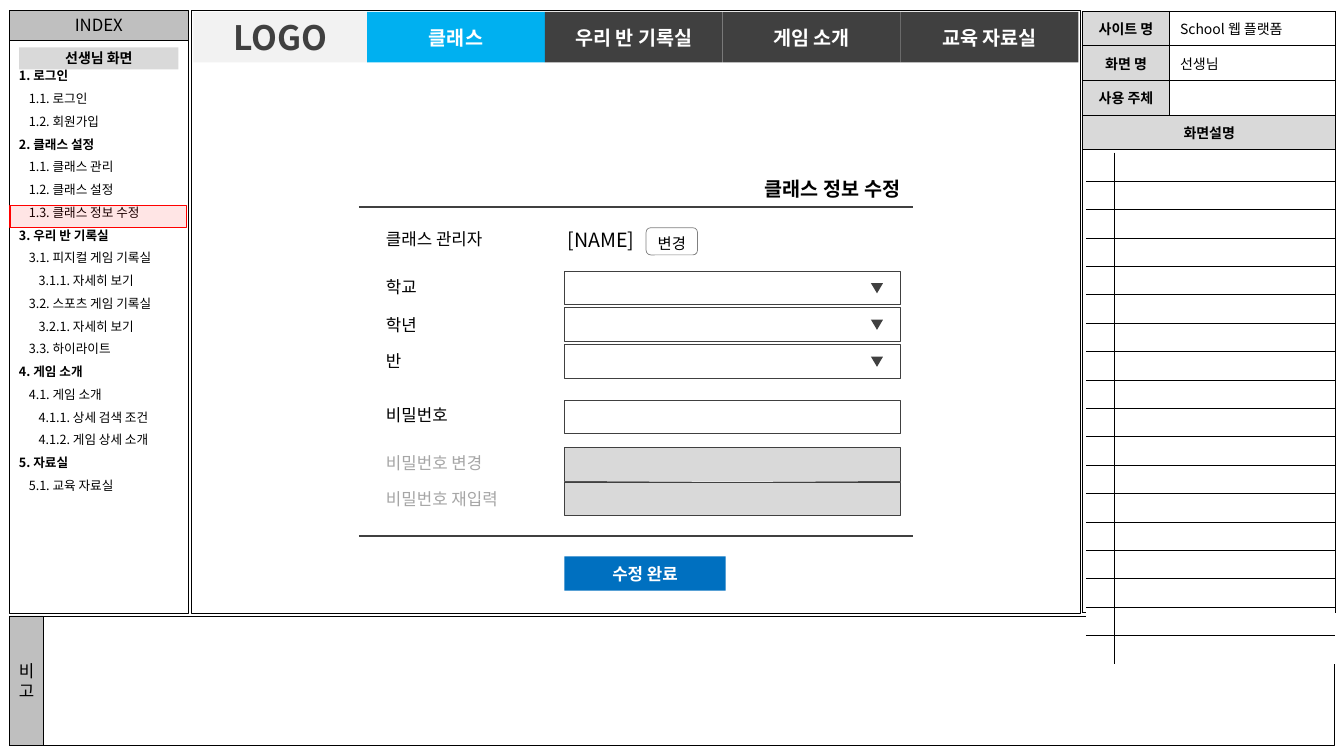
from lxml.etree import SubElement
from pptx import Presentation
from pptx.dml.color import RGBColor
from pptx.enum.shapes import MSO_CONNECTOR, MSO_SHAPE
from pptx.enum.text import MSO_ANCHOR, PP_ALIGN
from pptx.oxml import parse_xml
from pptx.oxml.ns import nsdecls, qn
from pptx.util import Pt

FONT = "Noto Sans CJK KR"
BLACK, DARK, WHITE = "000000", "404040", "FFFFFF"
GREY, LIGHT = "BFBFBF", "D9D9D9"

# Index entries: level, text
INDEX = [
    (0, "1. 로그인"), (1, "1.1. 로그인"), (1, "1.2. 회원가입"),
    (0, "2. 클래스 설정"), (1, "1.1. 클래스 관리"), (1, "1.2. 클래스 설정"),
    (1, "1.3. 클래스 정보 수정"),
    (0, "3. 우리 반 기록실"), (1, "3.1. 피지컬 게임 기록실"), (2, "3.1.1. 자세히 보기"),
    (1, "3.2. 스포츠 게임 기록실"), (2, "3.2.1. 자세히 보기"), (1, "3.3. 하이라이트"),
    (0, "4. 게임 소개"), (1, "4.1. 게임 소개"), (2, "4.1.1. 상세 검색 조건"),
    (2, "4.1.2. 게임 상세 소개"),
    (0, "5. 자료실"), (1, "5.1. 교육 자료실"),
]
TABS = ["클래스", "우리 반 기록실", "게임 소개", "교육 자료실"]

# Form rows: label, label top, field top, enabled, dropdown
FORM_ROWS = [
    ("학교", 194.4, 193.7, True, True),
    ("학년", 220.9, 219.8, True, True),
    ("반", 247.2, 246.2, True, True),
    ("비밀번호", 285.8, 285.8, True, False),
    ("비밀번호 변경", 319.7, 319.7, False, False),
    ("비밀번호 재입력", 345.6, 344.2, False, False),
]


def color(value):
    return RGBColor.from_string(value)


def points(*values):
    return [Pt(value) for value in values]


def set_values(target, values):
    for name, value in values.items():
        setattr(target, name, value)


def style_font(paragraph, size, text_color=BLACK, bold=False):
    set_values(paragraph.font, {"name": FONT, "size": Pt(size), "bold": bold})
    paragraph.font.color.rgb = color(text_color)
    for run in paragraph.runs:
        set_values(run.font, {"name": FONT, "size": Pt(size), "bold": bold})
        run.font.color.rgb = color(text_color)
        SubElement(run.font._element, qn("a:ea"), typeface=FONT)


def write(shape, text, size, text_color=BLACK, bold=False, align=PP_ALIGN.CENTER,
          anchor=MSO_ANCHOR.MIDDLE, wrap=True):
    set_values(shape.text_frame, {"word_wrap": wrap, "vertical_anchor": anchor})
    paragraph = shape.text_frame.paragraphs[0]
    set_values(paragraph, {"text": text, "alignment": align})
    style_font(paragraph, size, text_color, bold)


def add_box(slide, bounds, fill=None, line=None, width=0.5, kind=MSO_SHAPE.RECTANGLE):
    shape = slide.shapes.add_shape(kind, *points(*bounds))
    shape.shadow.inherit = False
    if fill:
        shape.fill.solid()
        shape.fill.fore_color.rgb = color(fill)
    else:
        shape.fill.background()
    if line:
        shape.line.color.rgb = color(line)
        shape.line.width = Pt(width)
    else:
        shape.line.fill.background()
    return shape


def add_label(slide, bounds, text, size, text_color=BLACK, bold=False, align=PP_ALIGN.LEFT):
    write(slide.shapes.add_textbox(*points(*bounds)), text, size, text_color, bold, align)


def add_rule(slide, left, right, top):
    rule = slide.shapes.add_connector(MSO_CONNECTOR.STRAIGHT, *points(left, top, right, top))
    rule.line.color.rgb = color(DARK)
    rule.line.width = Pt(1.5)
    SubElement(rule._element.spPr, qn("a:effectLst"))


def style_cell(cell, fill, sides):
    """Fill a cell and draw black borders on the named sides only."""
    if fill:
        cell.fill.solid()
        cell.fill.fore_color.rgb = color(fill)
    else:
        cell.fill.background()
    properties = cell._tc.get_or_add_tcPr()
    for position, side in enumerate("LRTB"):
        paint = f'<a:solidFill><a:srgbClr val="{BLACK}"/></a:solidFill>' if side in sides else "<a:noFill/>"
        border = f'<a:ln{side} {nsdecls("a")} w="{Pt(0.5)}">{paint}</a:ln{side}>'
        properties.insert(position, parse_xml(border))


def add_grid(slide, left, top, widths, heights):
    bounds = points(left, top, sum(widths), sum(heights))
    table = slide.shapes.add_table(len(heights), len(widths), *bounds).table
    set_values(table, {"first_row": False, "horz_banding": False})
    for column, width in zip(table.columns, widths):
        column.width = Pt(width)
    for row, height in zip(table.rows, heights):
        row.height = Pt(height)
    for cell in table.iter_cells():
        style_font(cell.text_frame.paragraphs[0], 10)
    return table


def add_site_table(slide):
    labels = ["사이트 명", "화면 명", "사용 주체", "화면설명"]
    table = add_grid(slide, 773.3, 7.9, [62, 118.8], [24.8] * 4 + [330.6])
    for cell in table.iter_cells():
        style_cell(cell, None, "LRTB")
    for row in (3, 4):
        table.cell(row, 0).merge(table.cell(row, 1))
    for row, label in enumerate(labels):
        cell = table.cell(row, 0)
        cell.fill.solid()
        cell.fill.fore_color.rgb = color(LIGHT)
        cell.vertical_anchor = MSO_ANCHOR.MIDDLE
        paragraph = cell.text_frame.paragraphs[0]
        set_values(paragraph, {"text": label, "alignment": PP_ALIGN.CENTER})
        style_font(paragraph, 10, bold=True)


def add_description_table(slide):
    rows = 18
    table = add_grid(slide, 775.6, 109, [20.4, 157.6], [20.3] * rows)
    for row in range(rows):
        sides = ("T" if row else "") + ("B" if row < rows - 1 else "")
        for column, inner_side in enumerate("RL"):
            cell = table.cell(row, column)
            style_cell(cell, WHITE, sides + inner_side)
            set_values(cell, {"margin_top": 0, "margin_bottom": 0})


def add_index(slide):
    box = slide.shapes.add_textbox(*points(6.5, 43.4, 139, 309))
    frame = box.text_frame
    set_values(frame, {"word_wrap": True, "margin_top": 0, "margin_bottom": 0})
    for number, (level, text) in enumerate(INDEX):
        paragraph = frame.add_paragraph() if number else frame.paragraphs[0]
        set_values(paragraph, {"text": text, "line_spacing": Pt(16.23)})
        paragraph._p.get_or_add_pPr().set("marL", str(Pt(7 * level)))
        style_font(paragraph, 9, bold=level == 0)


def add_frame(slide):
    add_box(slide, (136.8, 7.2, 635, 430.6), line=BLACK)
    add_site_table(slide)
    add_box(slide, (6.5, 7.2, 128.2, 430.6), line=BLACK)
    add_box(slide, (6.5, 439.9, 946.8, 92.2), line=BLACK)
    write(add_box(slide, (6.5, 7.2, 128.2, 21.6), GREY, BLACK), "INDEX", 12)
    write(add_box(slide, (6.5, 439.9, 24.5, 92.2), GREY, BLACK), "비고", 12)
    add_index(slide)
    write(add_box(slide, (13.7, 33.8, 113.8, 15.8), LIGHT), "선생님 화면", 10, bold=True, wrap=False)
    add_label(slide, (835.9, 10.8, 117, 19.4), "School 웹 플랫폼", 10)
    add_label(slide, (835.9, 34.6, 117, 22.3), "선생님", 10)
    # Current page marker
    marker = add_box(slide, (7.2, 146.9, 126, 15.8), "FF0000", "FF0000", 1)
    fill_color = marker._element.spPr.find(qn("a:solidFill"))[0]
    SubElement(fill_color, qn("a:alpha"), val="10000")
    add_description_table(slide)


def add_form(slide):
    add_label(slide, (500, 122.4, 150.2, 24.5), "클래스 정보 수정", 14, bold=True, align=PP_ALIGN.RIGHT)
    for top in (147.6, 383):
        add_rule(slide, 256.3, 652.3, top)
    # Class manager
    add_label(slide, (268.6, 159.8, 120, 21.6), "클래스 관리자", 12)
    add_label(slide, (398.2, 159.1, 70, 24.5), "[NAME]", 14)
    change = add_box(slide, (461.5, 162.7, 36.7, 19.4), WHITE, "808080", kind=MSO_SHAPE.ROUNDED_RECTANGLE)
    write(change, "변경", 11, anchor=MSO_ANCHOR.TOP, wrap=False)
    # Input rows
    for text, label_top, field_top, enabled, dropdown in FORM_ROWS:
        add_label(slide, (268.6, label_top, 120, 21.6), text, 12, BLACK if enabled else "A6A6A6")
        add_box(slide, (403.2, field_top, 239.8, 23.8), None if enabled else LIGHT, DARK, 0.25)
        if dropdown:
            arrow = add_box(slide, (622.1, field_top + 8.6, 8.6, 7.2), DARK, kind=MSO_SHAPE.ISOSCELES_TRIANGLE)
            arrow.rotation = 180
    write(add_box(slide, (403.2, 397.4, 115.2, 24.5), "0070C0"), "수정 완료", 12, WHITE, True)


def add_navigation(slide):
    write(add_box(slide, (138.2, 8.6, 124.4, 36), "F2F2F2"), "LOGO", 24, DARK, True)
    for number, text in enumerate(TABS):
        fill = DARK if number else "00B0F0"
        tab = add_box(slide, (262.3 + 127 * number, 8.6, 127, 36), fill)
        write(tab, text, 14, WHITE, True)


def main():
    presentation = Presentation()
    set_values(presentation, {"slide_width": Pt(960), "slide_height": Pt(540)})
    slide = presentation.slides.add_slide(presentation.slide_layouts[6])
    add_frame(slide)
    add_form(slide)
    add_navigation(slide)
    presentation.save("out.pptx")


if __name__ == "__main__":
    main()
